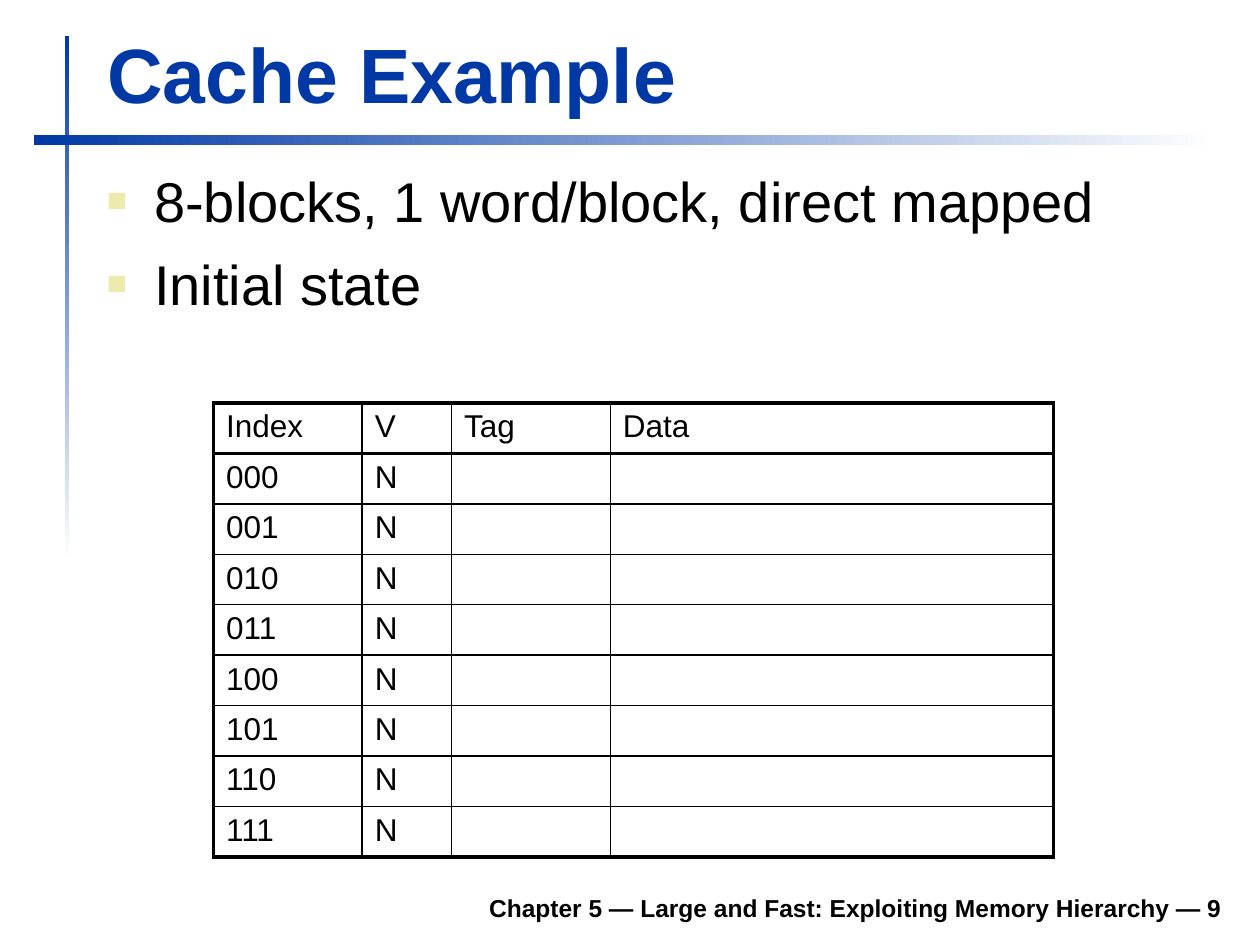
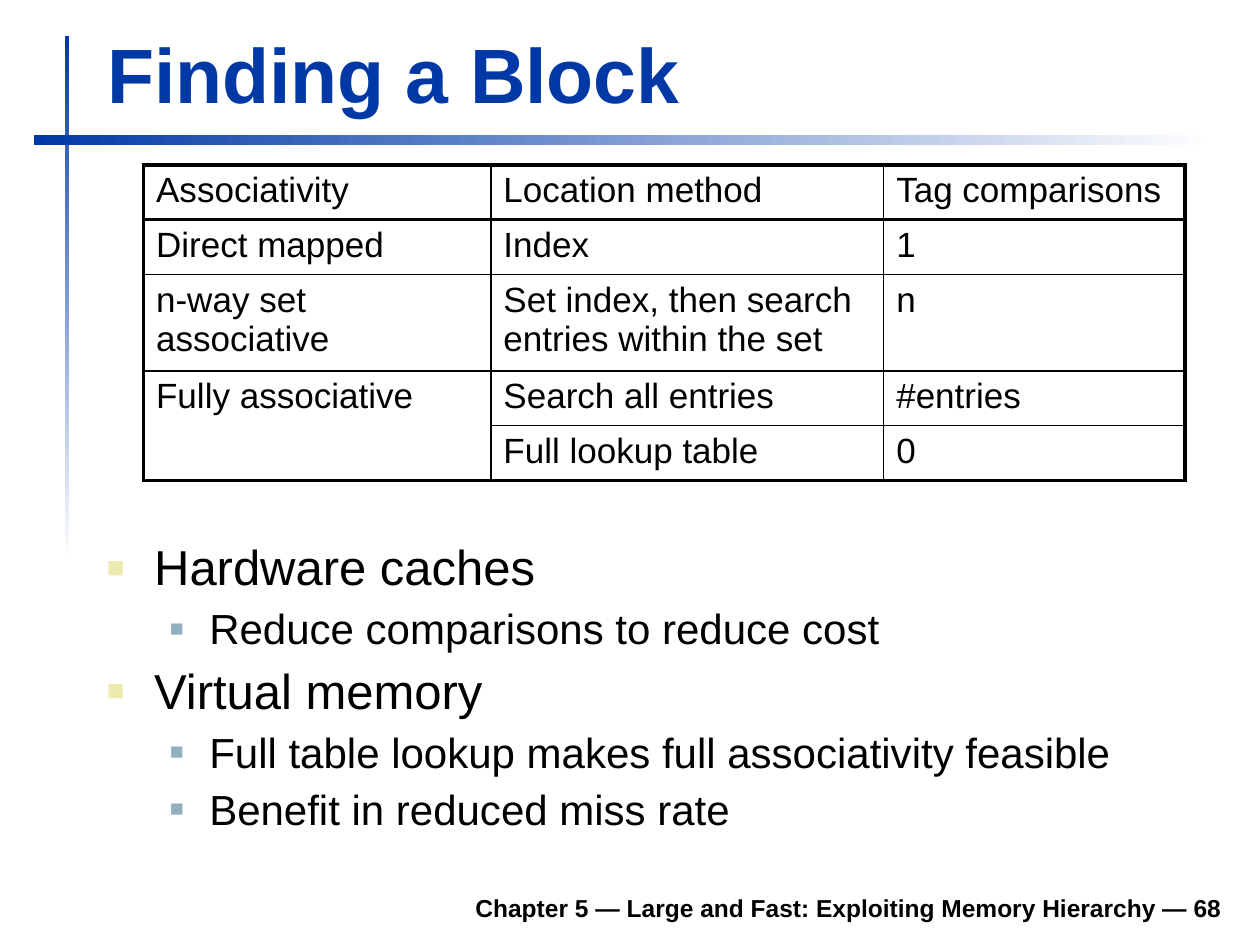
from lxml.etree import SubElement
from pptx import Presentation
from pptx.dml.color import RGBColor
from pptx.enum.shapes import MSO_SHAPE
from pptx.enum.text import MSO_ANCHOR, MSO_AUTO_SIZE, PP_ALIGN
from pptx.oxml import parse_xml
from pptx.oxml.ns import nsdecls, qn
from pptx.util import Pt

BLUE = RGBColor(0x00, 0x39, 0xA6)
WHITE = RGBColor(0xFF, 0xFF, 0xFF)
BLACK = RGBColor(0x00, 0x00, 0x00)
CREAM = RGBColor(0xEC, 0xEA, 0xAC)
STEEL = RGBColor(0x91, 0xAF, 0xBF)

FONT = "Arial"
TITLE_ONLY = 5
CHAPTER = "Chapter 5 — Large and Fast: Exploiting Memory Hierarchy"
OUTER, HEADER, INNER = 2.25, 1.5, 1  # table rule widths
GAP_RATIO = 0.28  # space before a bullet, relative to its text size

# Per level: left margin, hanging indent, bullet colour, bullet size in percent
BULLET_LEVELS = [(27, 27, CREAM, 60), (58.5, 22.5, STEEL, 55)]

CACHE_ROWS = [("Index", "V", "Tag", "Data")] + [
    (f"{index:03b}", "N", "", "") for index in range(8)
]
LOOKUP_ROWS = [
    ("Associativity", "Location method", "Tag comparisons"),
    ("Direct mapped", "Index", "1"),
    ("n-way set associative", "Set index, then search entries within the set", "n"),
    ("Fully associative", "Search all entries", "#entries"),
    ("", "Full lookup table", "0"),
]
CACHE_BULLETS = [
    (0, "8-blocks, 1 word/block, direct mapped"),
    (0, "Initial state"),
]
LOOKUP_BULLETS = [
    (0, "Hardware caches"),
    (1, "Reduce comparisons to reduce cost"),
    (0, "Virtual memory"),
    (1, "Full table lookup makes full associativity feasible"),
    (1, "Benefit in reduced miss rate"),
]


def apply_format(target, values):
    for attribute, value in values.items():
        setattr(target, attribute, value)


def write(paragraph, text, size, color=BLACK, bold=False):
    run = paragraph.add_run()
    run.text = text
    apply_format(run.font, {"name": FONT, "size": Pt(size), "bold": bold})
    run.font.color.rgb = color


def place(box, left, top, width, height):
    apply_format(box, {"left": Pt(left), "top": Pt(top),
                       "width": Pt(width), "height": Pt(height)})


def add_gradient_bar(slide, box, angle):
    bar = slide.shapes.add_shape(MSO_SHAPE.RECTANGLE, *map(Pt, box))
    bar.shadow.inherit = False
    bar.line.fill.background()
    bar.fill.gradient()
    bar.fill.gradient_angle = angle
    for stop, color, position in zip(bar.fill.gradient_stops, (BLUE, WHITE), (0, 1)):
        stop.color.rgb = color
        stop.position = position


def add_footer(slide, number):
    frame = slide.shapes.add_textbox(*map(Pt, (67.5, 502.5, 638, 28))).text_frame
    apply_format(frame, {"word_wrap": True, "vertical_anchor": MSO_ANCHOR.BOTTOM})
    frame.paragraphs[0].alignment = PP_ALIGN.RIGHT
    write(frame.paragraphs[0], f"{CHAPTER} — {number}", 14, bold=True)


def set_title(slide, text):
    title = slide.shapes.title
    place(title, 54, 11.5, 650, 60)
    apply_format(title.text_frame, {
        "word_wrap": True,
        "vertical_anchor": MSO_ANCHOR.BOTTOM,
        "auto_size": MSO_AUTO_SIZE.SHAPE_TO_FIT_TEXT,
    })
    paragraph = title.text_frame.paragraphs[0]
    paragraph.alignment = PP_ALIGN.LEFT
    write(paragraph, text, 44, BLUE, bold=True)


def add_framed_slide(deck, title, number):
    """Add a slide with the bars, footer and title that all slides share."""
    slide = deck.slides.add_slide(deck.slide_layouts[TITLE_ONLY])
    add_gradient_bar(slide, (37, 20.5, 2.5, 300), 270)
    add_gradient_bar(slide, (19.5, 77, 675, 6), 0)
    add_footer(slide, number)
    set_title(slide, title)
    return slide


def set_bullet(paragraph, level):
    margin, hanging, color, percent = BULLET_LEVELS[level]
    paragraph.level = level
    properties = paragraph._p.get_or_add_pPr()
    properties.set("marL", str(Pt(margin)))
    properties.set("indent", str(-Pt(hanging)))
    bullet_color = SubElement(properties, qn("a:buClr"))
    SubElement(bullet_color, qn("a:srgbClr"), val=str(color))
    SubElement(properties, qn("a:buSzPct"), val=str(percent * 1000))
    SubElement(properties, qn("a:buFont"), typeface=FONT)
    SubElement(properties, qn("a:buChar"), char="■")


def add_bullets(slide, top, height, bullets, sizes, line_spacing=None):
    frame = slide.shapes.add_textbox(*map(Pt, (54, top, 651.5, height))).text_frame
    frame.word_wrap = True
    for order, (level, text) in enumerate(bullets):
        paragraph = frame.add_paragraph() if order else frame.paragraphs[0]
        set_bullet(paragraph, level)
        paragraph.line_spacing = line_spacing
        if order:
            paragraph.space_before = Pt(round(sizes[level] * GAP_RATIO, 1))
        write(paragraph, text, sizes[level])


def set_borders(cell, widths):
    """Draw the left, right, top and bottom rules of a cell."""
    properties = cell._tc.get_or_add_tcPr()
    for order, (side, width) in enumerate(zip("LRTB", widths)):
        properties.insert(order, parse_xml(
            f'<a:ln{side} {nsdecls("a")} w="{Pt(width)}"><a:solidFill>'
            f'<a:srgbClr val="{BLACK}"/></a:solidFill></a:ln{side}>'))


def add_ruled_table(slide, left, top, rows, widths, heights, size, merge=None):
    row_count, column_count = len(rows), len(widths)
    table = slide.shapes.add_table(
        row_count, column_count, Pt(left), Pt(top),
        Pt(sum(widths)), Pt(sum(heights))).table
    apply_format(table, {"first_row": False, "horz_banding": False})
    for column, width in zip(table.columns, widths):
        column.width = Pt(width)
    for row, height in zip(table.rows, heights):
        row.height = Pt(height)
    if merge:
        first, last = merge
        table.cell(*first).merge(table.cell(*last))

    row_rules = [OUTER, HEADER] + [INNER] * (row_count - 2) + [OUTER]
    column_rules = [OUTER] + [INNER] * (column_count - 1) + [OUTER]
    for r, texts in enumerate(rows):
        for c, text in enumerate(texts):
            cell = table.cell(r, c)
            cell.fill.background()
            set_borders(cell, (column_rules[c], column_rules[c + 1],
                               row_rules[r], row_rules[r + cell.span_height]))
            if text:
                write(cell.text_frame.paragraphs[0], text, size)


def main():
    deck = Presentation()
    apply_format(deck, {"slide_width": Pt(720), "slide_height": Pt(540)})

    cache = add_framed_slide(deck, "Cache Example", 9)
    add_bullets(cache, 91.5, 400, CACHE_BULLETS, (32, 28))
    add_ruled_table(cache, 122, 230.25, CACHE_ROWS, (85, 51, 90.75, 253.25),
                    [27.4] * len(CACHE_ROWS), 18)

    lookup = add_framed_slide(deck, "Finding a Block", 68)
    add_bullets(lookup, 307, 184, LOOKUP_BULLETS, (28, 24), 0.9)
    add_ruled_table(lookup, 82, 94.25, LOOKUP_ROWS, (198.5, 224.5, 172.25),
                    (29.5, 29.5, 52, 29.5, 29.5), 20, merge=((3, 0), (4, 0)))

    deck.save("out.pptx")


if __name__ == "__main__":
    main()
